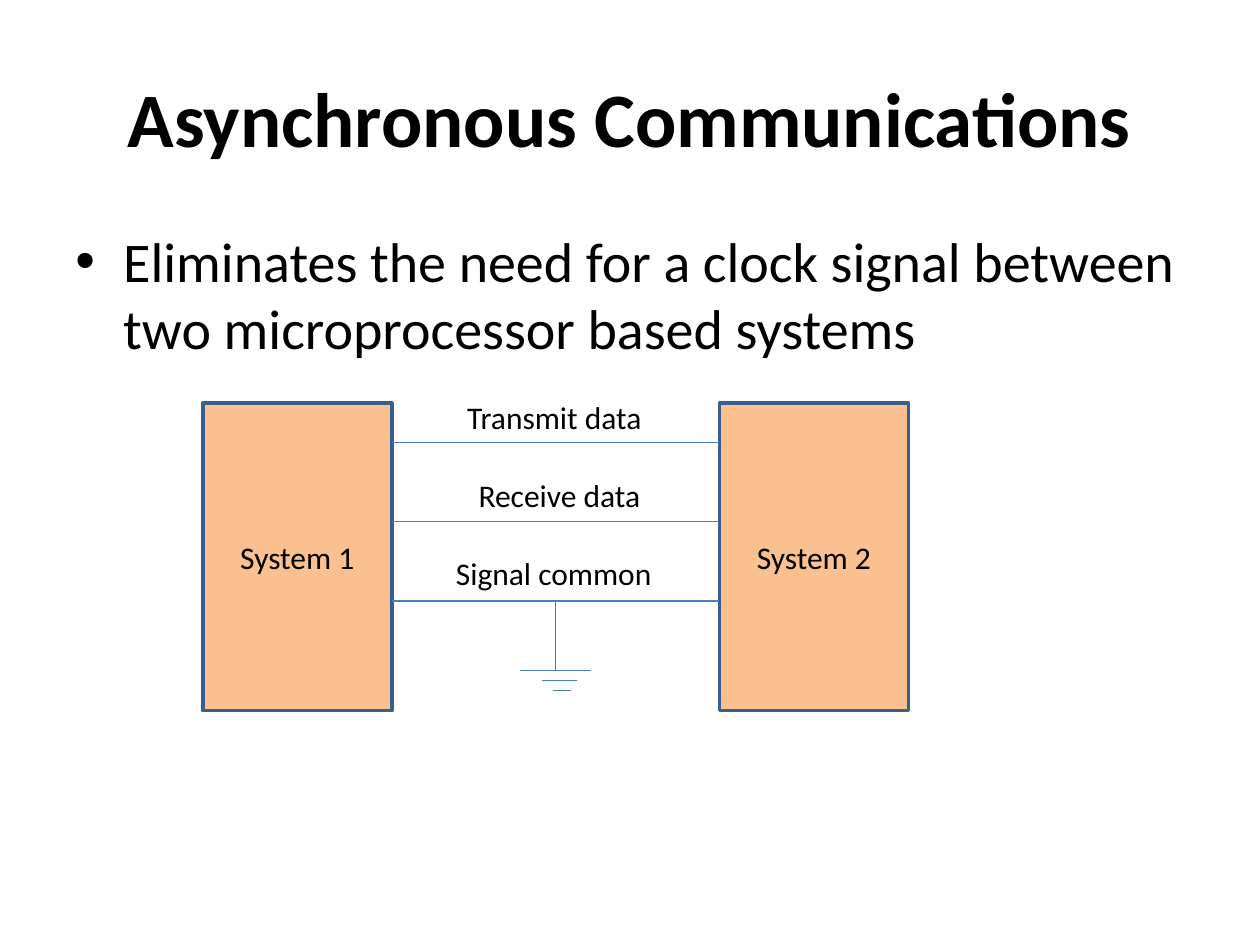
from lxml import etree
from pptx import Presentation
from pptx.dml.color import RGBColor
from pptx.enum.shapes import MSO_CONNECTOR, MSO_SHAPE
from pptx.enum.text import MSO_ANCHOR, PP_ALIGN
from pptx.oxml.ns import qn
from pptx.util import Inches, Pt

STRAIGHT = MSO_CONNECTOR.STRAIGHT
RECTANGLE = MSO_SHAPE.RECTANGLE
TOP, MIDDLE = MSO_ANCHOR.TOP, MSO_ANCHOR.MIDDLE
LEFT, CENTER = PP_ALIGN.LEFT, PP_ALIGN.CENTER

COLORS = {"text": "000000", "system": "FAC090", "border": "3A5F8C", "wire": "4B7EBC"}
TITLE = {"size": Pt(44), "bold": True}
BODY = {"size": Pt(32)}
LABEL = {"size": Pt(18)}


def rgb(name):
    return RGBColor.from_string(COLORS[name])


class DiagramSlide:
    font_name = "Calibri"

    def __init__(self, slide):
        self.slide = slide

    def fill_text(self, shape, text, style, align, anchor, wrap=True, bullet_indent=None):
        frame = shape.text_frame
        frame.word_wrap = wrap
        frame.vertical_anchor = anchor
        paragraph = frame.paragraphs[0]
        paragraph.text = text
        paragraph.alignment = align
        if bullet_indent:
            properties = paragraph._p.get_or_add_pPr()
            properties.set("marL", str(Inches(bullet_indent)))
            properties.set("indent", str(-Inches(bullet_indent)))
            etree.SubElement(properties, qn("a:buFont")).set("typeface", "Arial")
            etree.SubElement(properties, qn("a:buChar")).set("char", "•")
        font = paragraph.font
        for attribute, value in {"name": self.font_name, **style}.items():
            setattr(font, attribute, value)
        font.color.rgb = rgb("text")

    def text(self, left, top, width, height, text, style, align=LEFT, anchor=TOP, **options):
        box = self.slide.shapes.add_textbox(*map(Inches, (left, top, width, height)))
        self.fill_text(box, text, style, align, anchor, **options)

    def system(self, left, top, width, height, text):
        box = self.slide.shapes.add_shape(RECTANGLE, *map(Inches, (left, top, width, height)))
        box.shadow.inherit = False
        box.fill.solid()
        box.fill.fore_color.rgb = rgb("system")
        box.line.color.rgb = rgb("border")
        box.line.width = Pt(2)
        self.fill_text(box, text, LABEL, CENTER, MIDDLE)

    def wire(self, x1, y1, x2, y2):
        line = self.slide.shapes.add_connector(STRAIGHT, *map(Inches, (x1, y1, x2, y2)))
        line.line.color.rgb = rgb("wire")
        line.line.width = Pt(0.75)
        etree.SubElement(line._element.spPr, qn("a:effectLst"))


def main():
    presentation = Presentation()
    presentation.slide_width, presentation.slide_height = Inches(10), Inches(7.5)
    page = DiagramSlide(presentation.slides.add_slide(presentation.slide_layouts[6]))

    page.text(0.5, 0.3, 9, 1.25, "Asynchronous Communications", TITLE, CENTER, MIDDLE)
    page.text(0.5, 1.75, 9, 4.95,
              "Eliminates the need for a clock signal between two microprocessor based systems",
              BODY, bullet_indent=0.38)

    system_width = 1.5
    first_left, second_left = 1.61, 5.71
    for left, name in ((first_left, "System 1"), (second_left, "System 2")):
        page.system(left, 3.2, system_width, 2.44, name)

    first_wire, wire_gap = 3.51, 0.63
    signals = (("Transmit data", 3.61, 1.6), ("Receive data", 3.7, 1.5),
               ("Signal common", 3.52, 1.77))
    for row, (signal, label_left, label_width) in enumerate(signals):
        wire_y = first_wire + row * wire_gap
        page.wire(first_left + system_width, wire_y, second_left, wire_y)
        page.text(label_left, 3.11 + row * 0.62, label_width, 0.4, signal, LABEL, wrap=False)

    stem_x, ground_top = 4.41, 5.32
    page.wire(stem_x, first_wire + 2 * wire_gap, stem_x, ground_top)
    ground_bars = ((4.13, 0.56), (4.3, 0.28), (4.39, 0.14))
    for row, (bar_left, bar_width) in enumerate(ground_bars):
        bar_y = ground_top + row * 0.08
        page.wire(bar_left, bar_y, bar_left + bar_width, bar_y)

    presentation.save("out.pptx")


if __name__ == "__main__":
    main()
